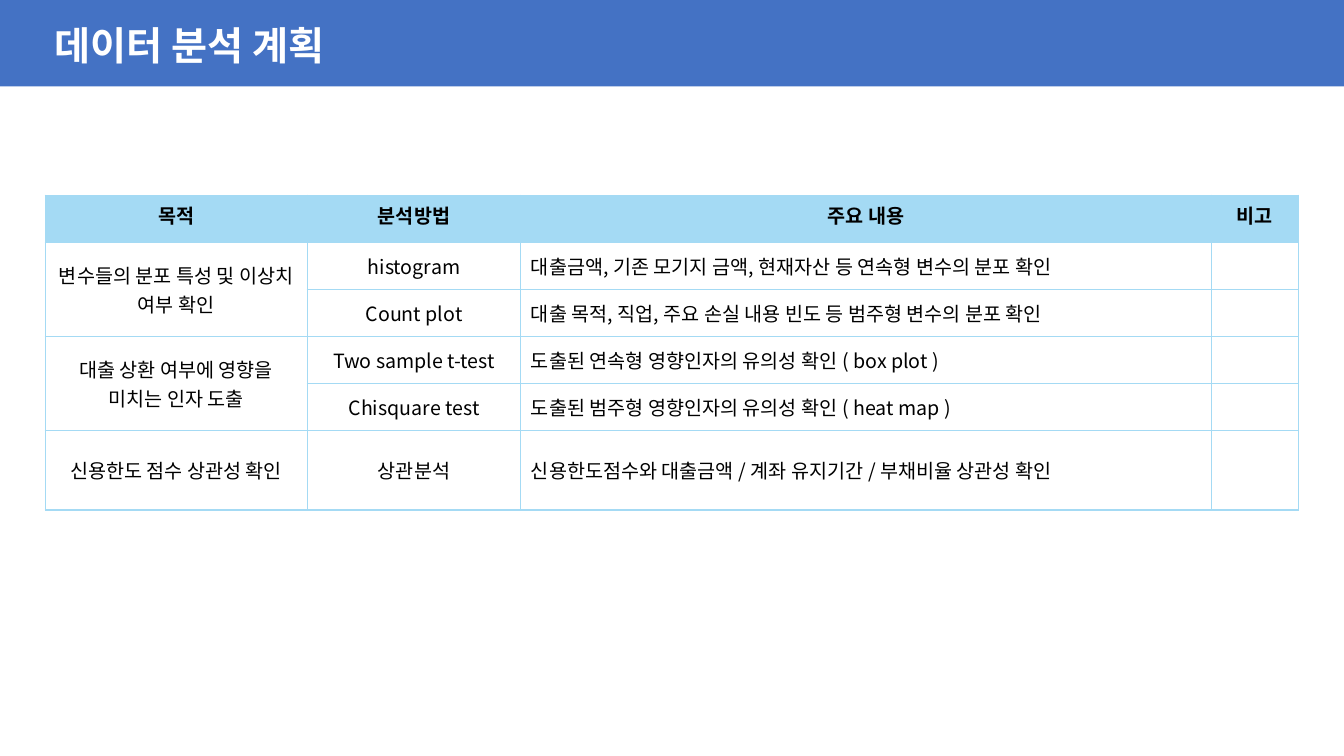
"""Build the data analysis plan slide with its banner and method table."""
from lxml.etree import SubElement
from pptx import Presentation
from pptx.dml.color import RGBColor
from pptx.enum.shapes import MSO_SHAPE as Shape
from pptx.enum.text import MSO_ANCHOR as Anchor, MSO_AUTO_SIZE as AutoSize, PP_ALIGN as Align
from pptx.oxml import parse_xml
from pptx.oxml.ns import nsdecls, qn
from pptx.util import Pt

TITLE = "데이터 분석 계획"
HEADERS = ["목적", "분석방법", "주요 내용", "비고"]
GROUPS = [
    ("변수들의 분포 특성 및 이상치 여부 확인", [
        ("histogram", "대출금액, 기존 모기지 금액, 현재자산 등 연속형 변수의 분포 확인"),
        ("Count plot", "대출 목적, 직업, 주요 손실 내용 빈도 등 범주형 변수의 분포 확인"),
    ]),
    ("대출 상환 여부에 영향을 미치는 인자 도출", [
        ("Two sample t-test", "도출된 연속형 영향인자의 유의성 확인 ( box plot )"),
        ("Chisquare test", "도출된 범주형 영향인자의 유의성 확인 ( heat map )"),
    ]),
    ("신용한도 점수 상관성 확인", [
        ("상관분석", "신용한도점수와 대출금액 / 계좌 유지기간 / 부채비율 상관성 확인"),
    ]),
]
COLORS = {"banner": "4472C4", "accent": "A4DAF4", "white": "FFFFFF", "black": "000000"}
FONT = "Noto Sans CJK KR"
SLIDE_WIDTH, SLIDE_HEIGHT = 960, 540
BANNER_HEIGHT = 61.7
TABLE_LEFT, TABLE_TOP = 32.3, 139.5
COLUMN_WIDTHS = [187.2, 152.6, 493.2, 62.2]
ROW_HEIGHT, LAST_ROW_HEIGHT = 33.6, 56.8


def color(name):
    return RGBColor.from_string(COLORS[name])


def style_paragraph(para, size, color_name, bold, align):
    para.alignment = align
    font = para.font
    font.size, font.bold, font.name = Pt(size), bold, FONT
    font.color.rgb = color(color_name)
    SubElement(font._element, qn("a:ea"), typeface=FONT)


def style_cell(cell, text, fill, bold, align, anchor):
    cell.text = text
    cell.vertical_anchor = anchor
    cell.fill.solid()
    cell.fill.fore_color.rgb = color(fill)
    style_paragraph(cell.text_frame.paragraphs[0], 14, "black", bold, align)
    properties = cell._tc.get_or_add_tcPr()
    for index, side in enumerate("LRTB"):
        properties.insert(index, parse_xml(
            f'<a:ln{side} {nsdecls("a")} w="{Pt(1)}"><a:solidFill>'
            f'<a:srgbClr val="{COLORS["accent"]}"/></a:solidFill></a:ln{side}>'))


def add_heading(slide):
    banner = slide.shapes.add_shape(Shape.RECTANGLE, 0, 0, Pt(SLIDE_WIDTH), Pt(BANNER_HEIGHT))
    banner.shadow.inherit = False
    banner.fill.solid()
    banner.fill.fore_color.rgb = color("banner")
    banner.line.fill.background()
    title = slide.shapes.title
    banner._element.addnext(title._element)
    title.left, title.top, title.width, title.height = Pt(31.7), Pt(11.5), Pt(457.2), Pt(41)
    frame = title.text_frame
    frame.text = TITLE
    frame.word_wrap = True
    frame.auto_size = AutoSize.SHAPE_TO_FIT_TEXT
    frame.vertical_anchor = Anchor.TOP
    style_paragraph(frame.paragraphs[0], 28, "white", True, Align.LEFT)


def add_plan_table(slide):
    row_count = 1 + sum(len(methods) for _, methods in GROUPS)
    heights = [ROW_HEIGHT] * (row_count - 1) + [LAST_ROW_HEIGHT]
    table = slide.shapes.add_table(
        row_count, len(HEADERS), Pt(TABLE_LEFT), Pt(TABLE_TOP),
        Pt(sum(COLUMN_WIDTHS)), Pt(sum(heights))).table
    for column, width in zip(table.columns, COLUMN_WIDTHS):
        column.width = Pt(width)
    for row, height in zip(table.rows, heights):
        row.height = Pt(height)
    for index, header in enumerate(HEADERS):
        style_cell(table.cell(0, index), header, "accent", True, Align.CENTER, Anchor.TOP)
    row_index = 1
    for purpose, methods in GROUPS:
        first_row = row_index
        for method, content in methods:
            values = [purpose if row_index == first_row else "", method, content, ""]
            for index, value in enumerate(values):
                align = Align.CENTER if index < 2 else Align.LEFT
                style_cell(table.cell(row_index, index), value, "white", False, align, Anchor.MIDDLE)
            row_index += 1
        if len(methods) > 1:
            table.cell(first_row, 0).merge(table.cell(row_index - 1, 0))


def main():
    deck = Presentation()
    deck.slide_width, deck.slide_height = Pt(SLIDE_WIDTH), Pt(SLIDE_HEIGHT)
    slide = deck.slides.add_slide(deck.slide_layouts[5])
    add_heading(slide)
    add_plan_table(slide)
    deck.save("out.pptx")


if __name__ == "__main__":
    main()
